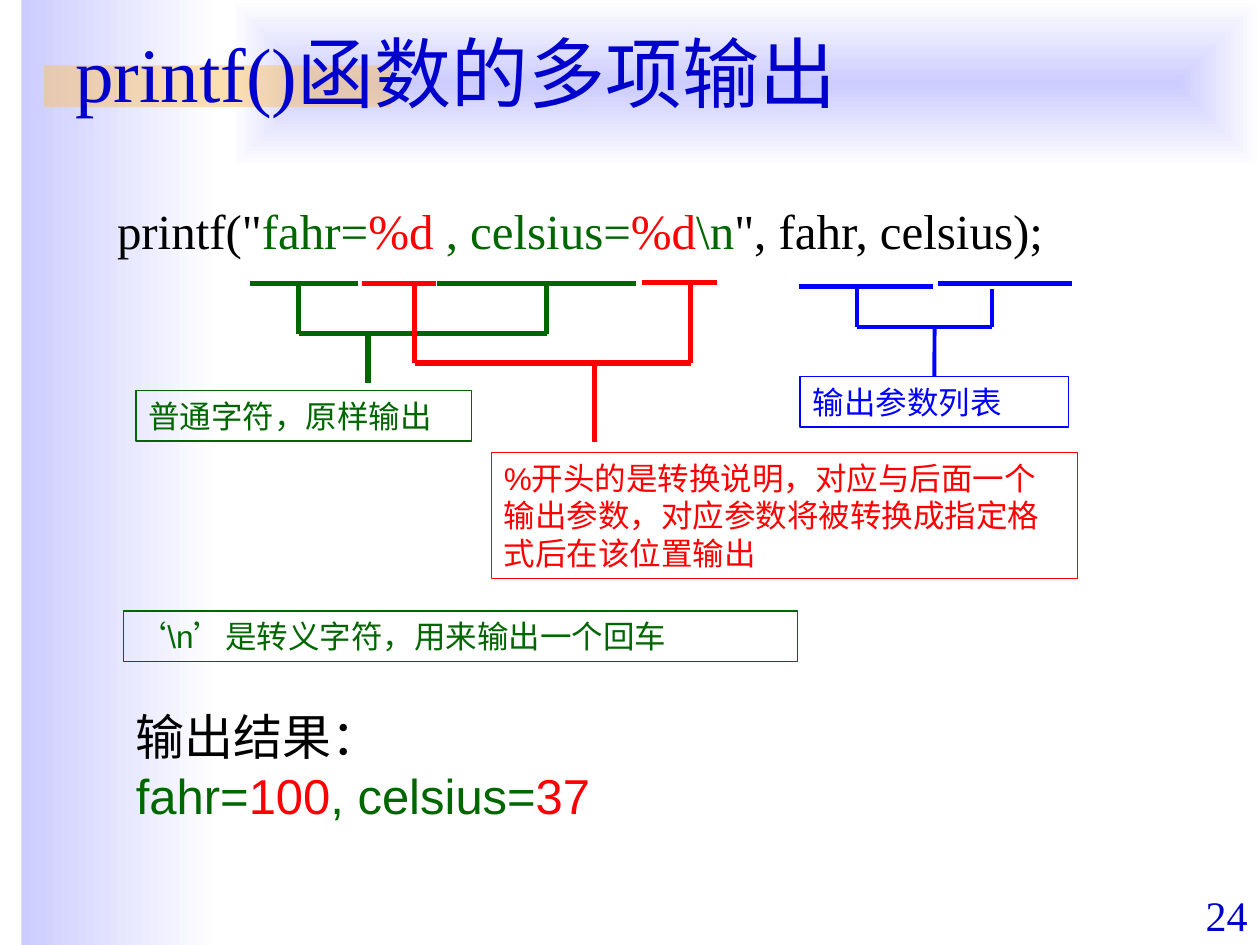
from lxml.etree import SubElement
from pptx import Presentation
from pptx.dml.color import RGBColor
from pptx.enum.shapes import MSO_CONNECTOR as LINE, MSO_SHAPE as SHAPE
from pptx.enum.text import MSO_ANCHOR as ANCHOR, PP_ALIGN as ALIGN
from pptx.oxml.ns import qn
from pptx.util import Cm, Pt

HUES = {"green": "006600", "red": "FF0000", "blue": "0000FF", "navy": "0000CC",
        "black": "000000", "lilac": "CCCCFF", "white": "FFFFFF", "amber": "FAC164"}
RGB = {name: RGBColor.from_string(code) for name, code in HUES.items()}
SERIF, SANS = "Times New Roman", "Arial"

deck = Presentation()
deck.slide_width, deck.slide_height = Cm(25.4), Cm(19.05)
slide = deck.slides.add_slide(deck.slide_layouts[6])
shapes = slide.shapes


def write(box, lines, size, face, anchor=ANCHOR.TOP, align=ALIGN.LEFT):
    """Fill a box with lines, each a list of (text, colour) runs."""
    frame = box.text_frame
    frame.word_wrap = True
    frame.vertical_anchor = anchor
    for i, runs in enumerate(lines):
        para = frame.paragraphs[0] if i == 0 else frame.add_paragraph()
        para.alignment = align
        for text, hue in runs:
            run = para.add_run()
            run.text = text
            run.font.size, run.font.name = Pt(size), face
            run.font.color.rgb = RGB[hue]


def draw(start, end, hue, width):
    line = shapes.add_connector(LINE.STRAIGHT, *map(Cm, start + end))
    line.line.color.rgb, line.line.width = RGB[hue], Pt(width)
    SubElement(line._element.spPr, qn("a:effectLst"))
    return line


# Backdrop: side band, title banner, amber bar
panels = []
for place in [(0.43, 0, 4.01, 19.05), (4.65, 0, 20.75, 3.38), (0.89, 1.32, 6.99, 0.84)]:
    panel = shapes.add_shape(SHAPE.RECTANGLE, *map(Cm, place))
    panel.shadow.inherit = False
    panel.line.fill.background()
    panels.append(panel)
side, banner, bar = panels

for panel in (side, banner):
    panel.fill.gradient()
    panel.fill.gradient_angle = 0
    for stop, hue in zip(panel.fill.gradient_stops, ("lilac", "white")):
        stop.color.rgb = RGB[hue]
grad = banner._element.spPr.find(qn("a:gradFill"))
grad.remove(grad.find(qn("a:lin")))
centre = SubElement(grad, qn("a:path"), path="rect")
SubElement(centre, qn("a:fillToRect"), l="50000", t="50000", r="50000", b="50000")

bar.fill.solid()
bar.fill.fore_color.rgb = RGB["amber"]
tint = bar._element.spPr.find(qn("a:solidFill"))[0]
SubElement(tint, qn("a:alpha"), val="50000")

# Title, code, result and page number
title = shapes.add_textbox(Cm(1.27), Cm(0.58), Cm(22.86), Cm(1.75))
write(title, [[("printf()函数的多项输出", "navy")]], 44, SERIF, ANCHOR.MIDDLE)

code = shapes.add_textbox(Cm(2.11), Cm(3.91), Cm(20.55), Cm(1.5))
write(code, [[("printf(\"", "black"), ("fahr=", "green"), ("%d ", "red"),
              (", celsius=", "green"), ("%d", "red"), ("\\n", "green"),
              ("\", fahr, celsius);", "black")]], 28, SERIF)

result = shapes.add_textbox(Cm(2.49), Cm(14.12), Cm(14), Cm(2.64))
write(result, [[("输出结果：", "black")],
               [("fahr=", "green"), ("100", "red"), (", celsius=", "green"), ("37", "red")]],
      28, SANS)

page = shapes.add_textbox(Cm(22.86), Cm(17.81), Cm(2.54), Cm(1.27))
write(page, [[("24", "navy")]], 24, SERIF, ANCHOR.BOTTOM, ALIGN.RIGHT)

# Framed notes
notes = {}
for key, hue, place, text in [
    ("plain", "green", (2.74, 7.87, 6.76, 1.02), "普通字符，原样输出"),
    ("format", "red", (9.91, 9.12, 11.81, 2.54),
     "%开头的是转换说明，对应与后面一个输出参数，对应参数将被转换成指定格式后在该位置输出"),
    ("args", "blue", (16.13, 7.59, 5.41, 1.02), "输出参数列表"),
    ("escape", "green", (2.49, 12.32, 13.59, 1.02), "‘\\n’是转义字符，用来输出一个回车"),
]:
    note = shapes.add_shape(SHAPE.RECTANGLE, *map(Cm, place))
    note.shadow.inherit = False
    note.fill.background()
    note.line.color.rgb, note.line.width = RGB[hue], Pt(0.75)
    write(note, [[(text, hue)]], 18, SANS)
    notes[key] = note

# Underlines of the code parts: left, right, y
for hue, marks in [
    ("green", [(5.03, 7.21, 5.72), (8.81, 12.83, 5.72)]),
    ("red", [(7.29, 8.79, 5.72), (12.95, 14.45, 5.69)]),
    ("blue", [(16.1, 18.8, 5.77), (18.9, 21.62, 5.72)]),
]:
    for left, right, y in marks:
        draw((left, y), (right, y), hue, 3)

# Brackets: two legs, a crossbar and a stem down to the note
stems = {}
for hue, width, left, right, top, low, mid, foot in [
    ("green", 3, 6.02, 11.02, 5.72, 6.73, 7.42, 7.72),
    ("red", 3, 8.36, 13.92, 5.72, 7.32, 11.99, 8.92),
    ("blue", 2.25, 17.27, 19.99, 5.82, 6.6, 18.84, 7.59),
]:
    for x in (left, right):
        draw((x, top), (x, low), hue, width)
    draw((left, low), (right, low), hue, width)
    stems[hue] = draw((mid, low), (mid, foot), hue, width)
stems["blue"].end_connect(notes["args"], 0)

deck.save("out.pptx")
